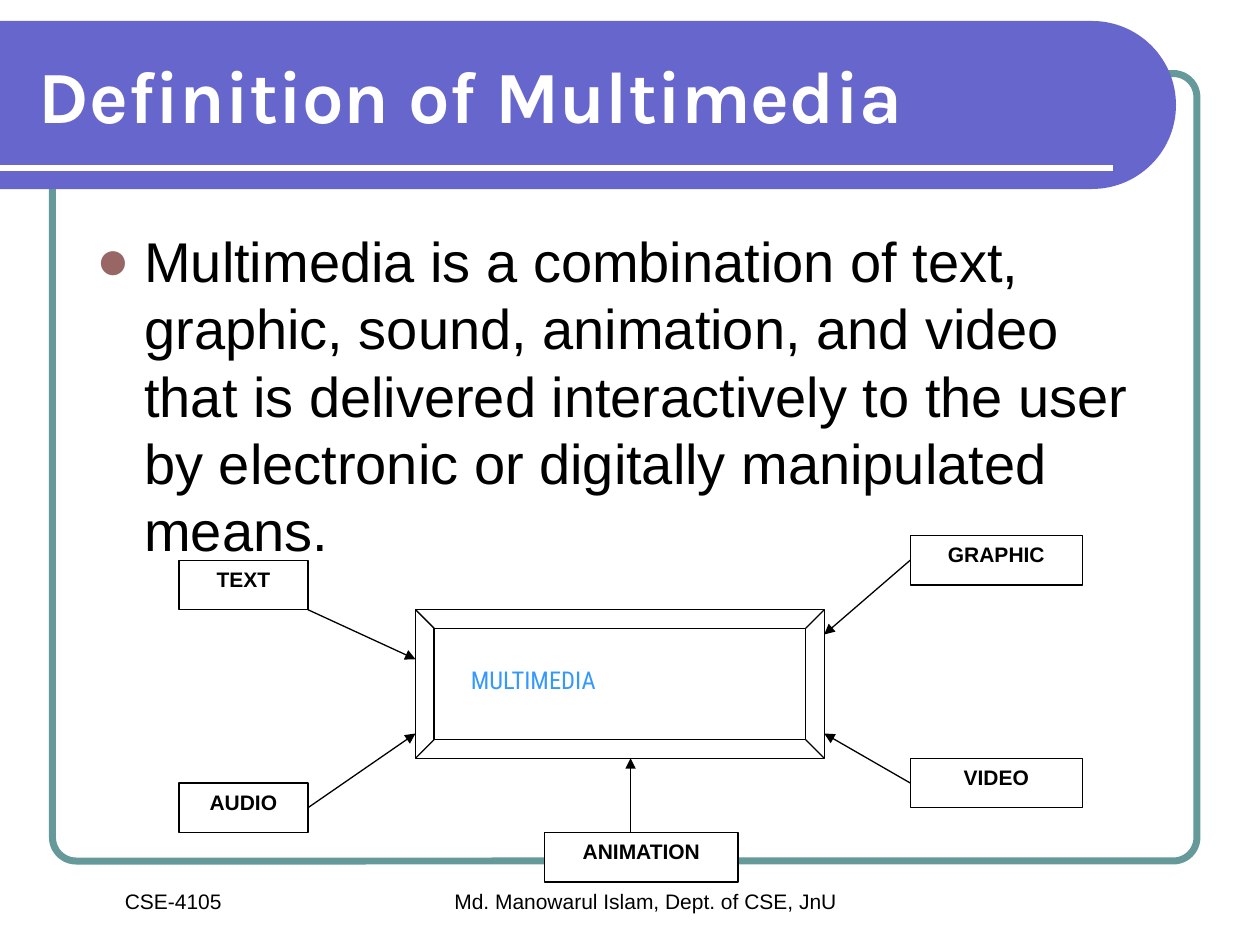
"""Build the "Definition of Multimedia" slide with its five-part diagram."""
from dataclasses import dataclass
from math import cos, pi, sin
from typing import Optional

from pptx import Presentation
from pptx.dml.color import RGBColor
from pptx.enum.shapes import MSO_CONNECTOR as Line, MSO_SHAPE as Shape
from pptx.enum.text import MSO_ANCHOR as Anchor, PP_ALIGN as Align
from pptx.oxml.ns import qn
from pptx.util import Inches, Pt
from lxml.etree import SubElement

COLORS = {"frame": "669999", "banner": "6666CC", "white": "FFFFFF",
          "ink": "000000", "bullet": "996666", "center": "3399FF"}
LEFT, RIGHT = 1, 3


@dataclass(frozen=True)
class Grid:
    left: float
    top: float
    column: float
    row: float

    def point(self, column: float, row: float) -> tuple:
        return (Inches(self.left + column * self.column),
                Inches(self.top + row * self.row))

    def box(self, column: float, row: float, columns: float, rows: float) -> tuple:
        return (*self.point(column, row),
                Inches(columns * self.column), Inches(rows * self.row))


@dataclass(frozen=True)
class Medium:
    label: str
    column: int
    row: int
    columns: int
    start: tuple
    end: tuple
    side: Optional[int] = None


PAGE = Grid(0, 0, 10 / 120, 7.5 / 90)
DIAGRAM = Grid(1.42, 4.25, 7.17 / 42, 2.75 / 14)
MEDIA = [
    Medium("TEXT", 0, 1, 6, (6, 3), (11, 5)),
    Medium("AUDIO", 0, 10, 6, (6, 11), (11, 8), RIGHT),
    Medium("GRAPHIC", 34, 0, 8, (34, 1), (30, 4), LEFT),
    Medium("VIDEO", 34, 9, 8, (34, 10), (30, 8), LEFT),
    Medium("ANIMATION", 17, 12, 9, (21, 12), (21, 9)),
]


def color(name: str) -> RGBColor:
    return RGBColor.from_string(COLORS[name])


def write(shape, text: str, size: float, ink: str = "ink", font: str = "Arial",
          bold: bool = False, align=Align.LEFT, anchor=Anchor.TOP):
    frame = shape.text_frame
    frame.word_wrap = True
    frame.vertical_anchor = anchor
    paragraph = frame.paragraphs[0]
    paragraph.alignment = align
    run = paragraph.add_run()
    run.text = text
    run.font.name, run.font.size, run.font.bold = font, Pt(size), bold
    run.font.color.rgb = color(ink)
    return paragraph


def outline(shape, line: str, width: float, fill: Optional[str] = None) -> None:
    shape.shadow.inherit = False
    if fill:
        shape.fill.solid()
        shape.fill.fore_color.rgb = color(fill)
    else:
        shape.fill.background()
    shape.line.color.rgb = color(line)
    shape.line.width = Pt(width)


def connect(shapes, grid: Grid, start: tuple, end: tuple, ink: str,
            width: float, arrow: bool = False):
    connector = shapes.add_connector(Line.STRAIGHT, *grid.point(*start),
                                     *grid.point(*end))
    connector.line.color.rgb = color(ink)
    connector.line.width = Pt(width)
    if arrow:
        SubElement(connector.line._get_or_add_ln(), qn("a:tailEnd"), type="triangle")
    SubElement(connector._element.spPr, qn("a:effectLst"))
    return connector


def draw_background(shapes) -> None:
    frame = shapes.add_shape(Shape.ROUNDED_RECTANGLE, *PAGE.box(5, 7, 109, 75))
    frame.adjustments[0] = 0.03
    outline(frame, "frame", 4)

    steps = 60
    angles = [pi * step / steps - pi / 2 for step in range(steps + 1)]
    curve = [PAGE.point(104 + 8 * cos(a), 10 + 8 * sin(a)) for a in angles]
    builder = shapes.build_freeform(*PAGE.point(0, 2))
    builder.add_line_segments([*curve, PAGE.point(0, 18)], close=True)
    banner = builder.convert_to_shape()
    outline(banner, "banner", 0, "banner")
    banner.line.fill.background()
    connect(shapes, PAGE, (0, 16), (106, 16), "white", 3)


def draw_text(shapes) -> None:
    for words, place in (
            ("Md. Manowarul Islam, Dept. of CSE, JnU", (21, 84, 81, 7.3)),
            ("CSE-4105", (3, 84, 27, 3.6))):
        write(shapes.add_textbox(*PAGE.box(*place)), words, 12, align=Align.CENTER)

    title = shapes.title
    title.left, title.top, title.width, title.height = PAGE.box(2.5, 3, 105.25, 12)
    title.element.getparent().append(title.element)
    write(title, "Definition of Multimedia", 42, "white", "Karla", True,
          anchor=Anchor.MIDDLE)

    definition = write(
        shapes.add_textbox(*PAGE.box(8, 21, 104, 29)),
        "Multimedia is a combination of text, graphic, sound, animation, and video "
        "that is delivered interactively to the user by electronic or digitally "
        "manipulated means.", 32)
    properties = definition._p.get_or_add_pPr()
    properties.set("marL", str(Inches(0.38)))
    properties.set("indent", str(Inches(-0.38)))
    tint = SubElement(properties, qn("a:buClr"))
    SubElement(tint, qn("a:srgbClr"), val=COLORS["bullet"])
    SubElement(properties, qn("a:buFont"), typeface="Arial")
    SubElement(properties, qn("a:buChar"), char="●")


def draw_medium(shapes, medium: Medium) -> None:
    box = shapes.add_shape(Shape.RECTANGLE, *DIAGRAM.box(
        medium.column, medium.row, medium.columns, 2))
    outline(box, "ink", 0.75, "white")
    write(box, medium.label, 12, bold=True, align=Align.CENTER)
    arrow = connect(shapes, DIAGRAM, medium.start, medium.end, "ink", 0.75, True)
    if medium.side is not None:
        arrow.begin_connect(box, medium.side)


def draw_diagram(shapes) -> None:
    write(shapes.add_textbox(*DIAGRAM.box(13, 5, 15, 2)), "MULTIMEDIA", 14,
          "center", "Roboto Condensed")
    bevel = shapes.add_shape(Shape.BEVEL, *DIAGRAM.box(11, 3, 19, 6))
    bevel.adjustments[0] = 0.125
    outline(bevel, "ink", 0.75)
    for medium in MEDIA:
        draw_medium(shapes, medium)


def main() -> None:
    deck = Presentation()
    deck.slide_width, deck.slide_height = Inches(10), Inches(7.5)
    shapes = deck.slides.add_slide(deck.slide_layouts[5]).shapes
    draw_background(shapes)
    draw_text(shapes)
    draw_diagram(shapes)
    deck.save("out.pptx")


if __name__ == "__main__":
    main()
